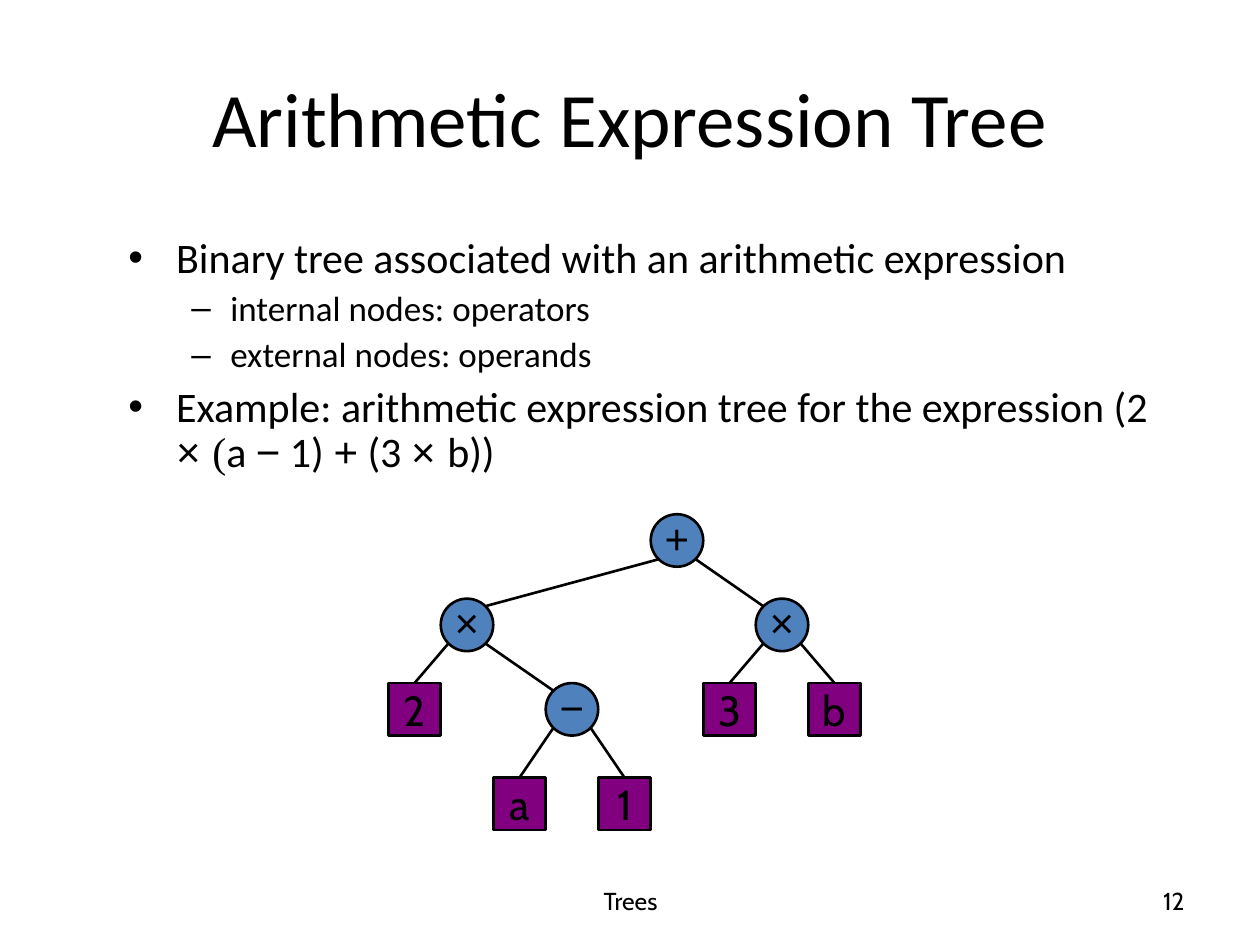
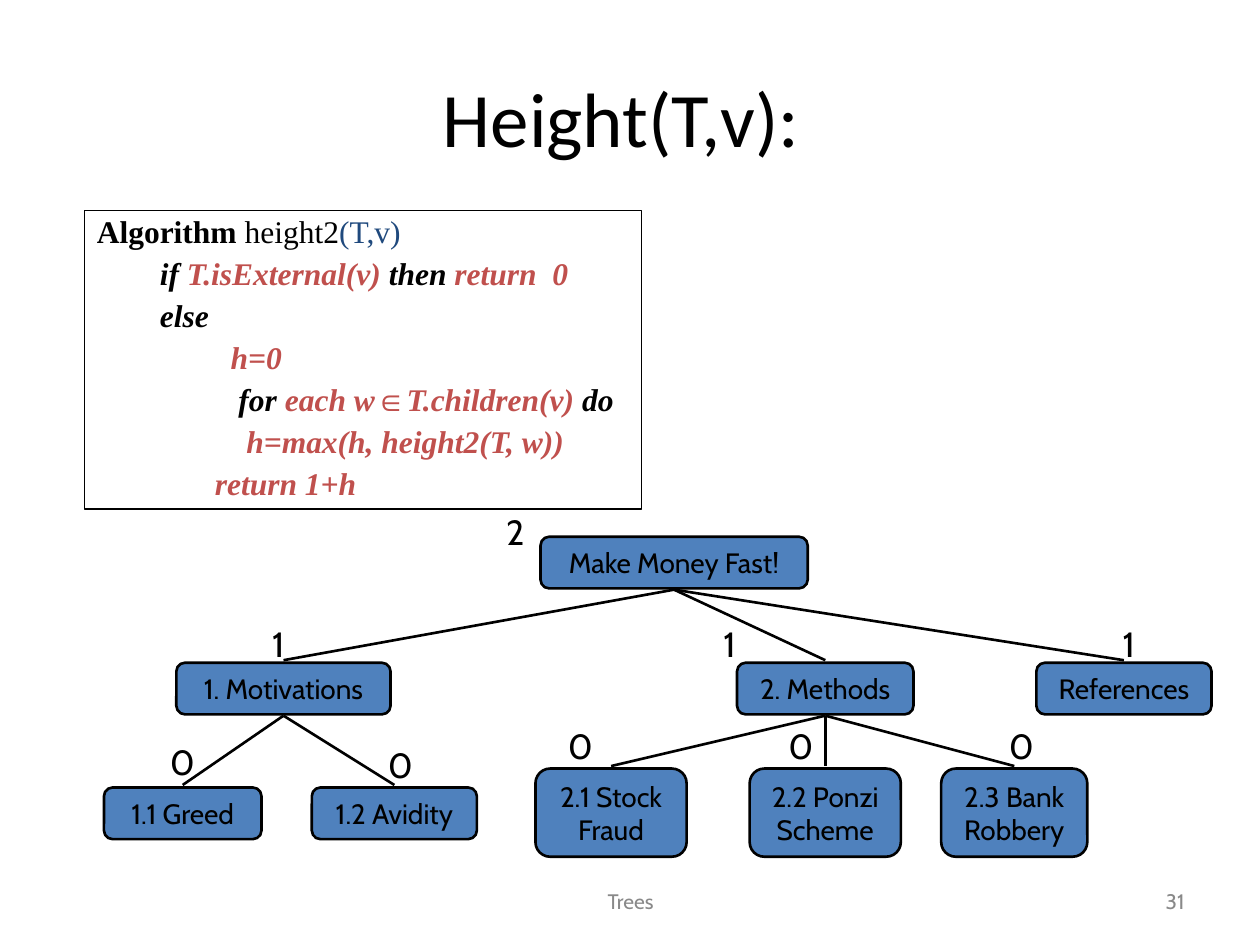
from typing import NamedTuple

from lxml.etree import SubElement
from pptx import Presentation
from pptx.dml.color import RGBColor
from pptx.enum.shapes import MSO_CONNECTOR, MSO_SHAPE
from pptx.enum.text import MSO_ANCHOR, PP_ALIGN
from pptx.oxml.ns import qn
from pptx.util import Inches, Pt

BLACK, GREY, BLUE, NAVY = "000000", "898989", "4F81BD", "1F497D"
PURPLE, RED = "800080", "C0504D"
BODY, SANS, LABEL, SERIF = "Calibri", "Arial", "Cabin", "Times New Roman"
CENTER, LEFT, RIGHT = PP_ALIGN.CENTER, PP_ALIGN.LEFT, PP_ALIGN.RIGHT


class Span(NamedTuple):
    text: str
    font: str | None = None
    color: str | None = None
    bold: bool | None = None


class Bullet(NamedTuple):
    mark: str
    size: int
    margin: float
    hang: float
    space: float


class Node(NamedTuple):
    """A node of the expression tree; col is its place in the in-order walk."""
    text: str
    col: int
    row: int
    parent: int | None
    leaf: bool = False


class Topic(NamedTuple):
    """A box of the outline tree, with its height and where that number sits."""
    text: str
    mid: float
    top: float
    width: float
    parent: int | None
    height: str
    left: float
    above: float


def paint(target, color: str) -> None:
    target.rgb = RGBColor.from_string(color)


def style(para, size: float, font: str, color: str = BLACK, align=LEFT) -> None:
    para.alignment = align
    para.font.size = Pt(size)
    para.font.name = font
    paint(para.font.color, color)


def fill_runs(para, spans: list[Span]) -> None:
    for span in spans:
        run = para.add_run()
        run.text = span.text
        if span.font:
            run.font.name = span.font
        if span.color:
            paint(run.font.color, span.color)
        if span.bold is not None:
            run.font.bold = span.bold


def indent(para, margin: float, first: float = 0, mark: str = "") -> None:
    props = para._p.get_or_add_pPr()
    props.set("marL", str(Inches(margin)))
    props.set("indent", str(Inches(first)))
    if mark:
        SubElement(props, qn("a:buFont")).set("typeface", SANS)
        SubElement(props, qn("a:buChar")).set("char", mark)


def add_text(slide, box: tuple, text: str, size: float, color: str = BLACK,
             align=CENTER, anchor=MSO_ANCHOR.MIDDLE, wrap: bool = True) -> None:
    frame = slide.shapes.add_textbox(*map(Inches, box)).text_frame
    frame.word_wrap = wrap
    frame.vertical_anchor = anchor
    frame.paragraphs[0].text = text
    style(frame.paragraphs[0], size, LABEL, color, align)


def add_box(slide, kind, box: tuple, fill: str | None, width: float = 1.5):
    shape = slide.shapes.add_shape(kind, *map(Inches, box))
    shape.shadow.inherit = False
    if fill:
        shape.fill.solid()
        paint(shape.fill.fore_color, fill)
    else:
        shape.fill.background()
    paint(shape.line.color, BLACK)
    shape.line.width = Pt(width)
    return shape


def add_node(slide, kind, box: tuple, fill: str, text: str, size: float, font: str):
    shape = add_box(slide, kind, box, fill)
    frame = shape.text_frame
    frame.word_wrap = False
    frame.vertical_anchor = MSO_ANCHOR.MIDDLE
    frame.paragraphs[0].text = text
    style(frame.paragraphs[0], size, font, align=CENTER)
    return shape


def add_edge(slide, *ends: float) -> None:
    line = slide.shapes.add_connector(MSO_CONNECTOR.STRAIGHT, *map(Inches, ends))
    paint(line.line.color, BLACK)
    line.line.width = Pt(1.5)
    SubElement(line._element.spPr, qn("a:effectLst"))


def add_slide(deck, title: str, number: str, size: float, color: str):
    slide = deck.slides.add_slide(deck.slide_layouts[5])
    head = slide.shapes.title
    head.left, head.top, head.width, head.height = map(Inches, (0.5, 0.3, 9, 1.25))
    head.text_frame.vertical_anchor = MSO_ANCHOR.MIDDLE
    head.text_frame.text = title
    style(head.text_frame.paragraphs[0], 44, BODY, align=CENTER)
    add_text(slide, (3.42, 6.95, 3.17, 0.4), "Trees", size, color)
    add_text(slide, (7.17, 6.95, 2.33, 0.4), number, size, color, RIGHT)
    return slide


MAIN = Bullet("•", 24, 0.38, -0.38, 6)
SUB = Bullet("–", 20, 0.81, -0.31, 5)
POINTS = [
    (MAIN, [Span("Binary tree associated with an arithmetic expression")]),
    (SUB, [Span("internal nodes: operators")]),
    (SUB, [Span("external nodes: operands")]),
    (MAIN, [Span("Example: arithmetic expression tree for the expression (2 "),
            Span("× ", SANS), Span("(", SERIF), Span("a "), Span("−", SANS),
            Span(" 1) "), Span("+", SANS), Span(" (3 "), Span("× ", SANS),
            Span("b))")]),
]

NODES = [
    Node("+", 5, 0, None),
    Node("×", 7, 1, 0),
    Node("×", 1, 1, 0),
    Node("−", 3, 2, 2),
    Node("2", 0, 2, 2, True),
    Node("a", 2, 3, 3, True),
    Node("1", 4, 3, 3, True),
    Node("3", 6, 2, 1, True),
    Node("b", 8, 2, 1, True),
]
SIDE = 5 / 12
ROWS = [4.29, 4.96, 5.63, 6.38]
DIAG = 0.15


def add_points(slide) -> None:
    frame = slide.shapes.add_textbox(*map(Inches, (0.92, 1.83, 8.5, 2.08))).text_frame
    frame.word_wrap = True
    for i, (kind, spans) in enumerate(POINTS):
        para = frame.add_paragraph() if i else frame.paragraphs[0]
        indent(para, kind.margin, kind.hang, kind.mark)
        para.line_spacing = 0.9
        if i:
            para.space_before = Pt(kind.space)
        style(para, kind.size, BODY)
        fill_runs(para, spans)


def add_sum(slide) -> None:
    """Draw the expression tree."""
    spots = [(3.29 + node.col * SIDE, ROWS[node.row]) for node in NODES]
    for node, (x, y) in zip(NODES, spots):
        box = (x - SIDE / 2, y - SIDE / 2, SIDE, SIDE)
        if node.leaf:
            add_node(slide, MSO_SHAPE.RECTANGLE, box, PURPLE, node.text, 24, LABEL)
        else:
            frame = add_node(slide, MSO_SHAPE.OVAL, box, BLUE, node.text, 24,
                             SANS).text_frame
            frame.margin_left = frame.margin_right = frame.margin_top = 0
    for node, (x, y) in zip(NODES, spots):
        if node.parent is None:
            continue
        px, py = spots[node.parent]
        shift = DIAG if x > px else -DIAG
        end = (x, y - SIDE / 2) if node.leaf else (x - shift, y - DIAG)
        add_edge(slide, px + shift, py + DIAG, *end)


CODE = [
    [Span("Algorithm", bold=True), Span(" height2"), Span("(T,v)", color=NAVY)],
    [Span("if"), Span(" T.isExternal(v) ", color=RED), Span("then"),
     Span(" return  0", color=RED)],
    [Span("else")],
    [Span("         h=0", color=RED)],
    [Span("          for"), Span(" each w", color=RED), Span("∈", SANS, RED),
     Span("T.children(v) ", color=RED), Span("do")],
    [Span("           h=max(h, height2(T, w))", color=RED)],
    [Span("       return 1+h", color=RED)],
]

TOPICS = [
    Topic("Make Money Fast!", 5.35, 4.26, 2.12, None, "2", 3.91, 4),
    Topic("1. Motivations", 2.25, 5.26, 1.7, 0, "1", 2.03, 4.89),
    Topic("2. Methods", 6.55, 5.26, 1.4, 0, "1", 5.61, 4.89),
    Topic("References", 8.92, 5.26, 1.39, 0, "1", 8.78, 4.89),
    Topic("1.1 Greed", 1.45, 6.25, 1.25, 1, "0", 1.25, 5.83),
    Topic("1.2 Avidity", 3.13, 6.25, 1.31, 1, "0", 2.98, 5.85),
    Topic("2.1 Stock\nFraud", 4.85, 6.1, 1.2, 2, "0", 4.41, 5.7),
    Topic("2.2 Ponzi\nScheme", 6.55, 6.1, 1.2, 2, "0", 6.16, 5.7),
    Topic("2.3 Bank\nRobbery", 8.05, 6.1, 1.16, 2, "0", 7.91, 5.7),
]
LOW, TALL = 0.41, 0.7


def add_code(slide) -> None:
    shape = add_box(slide, MSO_SHAPE.RECTANGLE, (0.67, 1.67, 4.42, 2.37), None, 0.75)
    frame = shape.text_frame
    frame.word_wrap = True
    frame.vertical_anchor = MSO_ANCHOR.TOP
    for i, spans in enumerate(CODE):
        para = frame.add_paragraph() if i else frame.paragraphs[0]
        para.line_spacing = 0.9
        if i:
            indent(para, 0.5)
            para.space_before = Pt(4.5)
        style(para, 18, SERIF)
        para.font.bold = para.font.italic = i > 0
        fill_runs(para, spans)


def add_topics(slide) -> None:
    for topic in TOPICS:
        high = TALL if "\n" in topic.text else LOW
        box = (topic.mid - topic.width / 2, topic.top, topic.width, high)
        add_node(slide, MSO_SHAPE.ROUNDED_RECTANGLE, box, BLUE, topic.text, 16, LABEL)
        if topic.parent is not None:
            above = TOPICS[topic.parent]
            add_edge(slide, above.mid, above.top + LOW + 0.01,
                     topic.mid, topic.top - 0.02)
    for topic in TOPICS:
        add_text(slide, (topic.left, topic.above, 0.36, 0.44), topic.height, 20,
                 anchor=MSO_ANCHOR.TOP, wrap=False)


def main() -> None:
    deck = Presentation()
    deck.slide_width, deck.slide_height = Inches(10), Inches(7.5)
    slide = add_slide(deck, "Arithmetic Expression Tree", "12", 14, BLACK)
    add_points(slide)
    add_sum(slide)
    slide = add_slide(deck, "Height(T,v): ", "31", 12, GREY)
    add_topics(slide)
    add_code(slide)
    deck.save("out.pptx")


if __name__ == "__main__":
    main()
